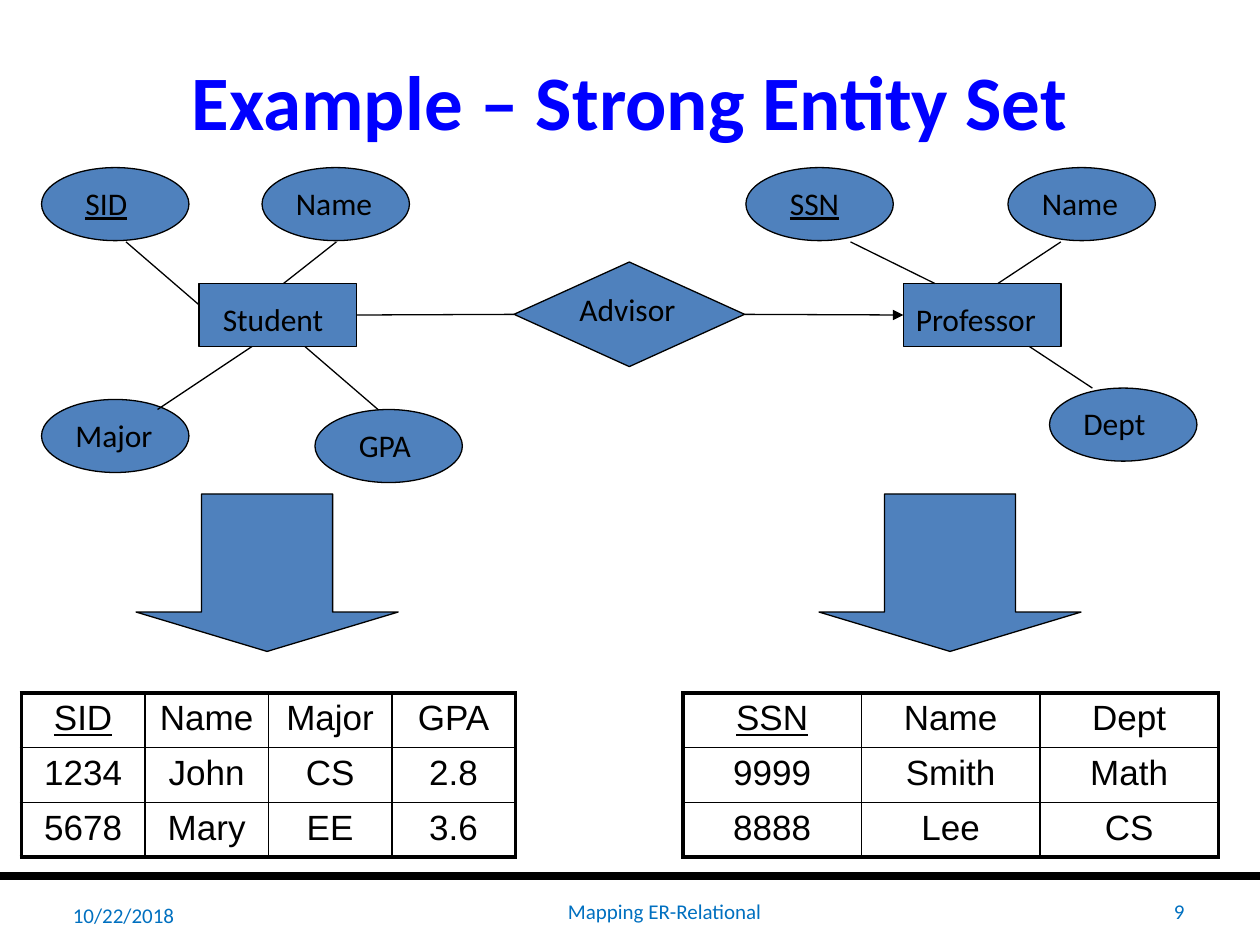
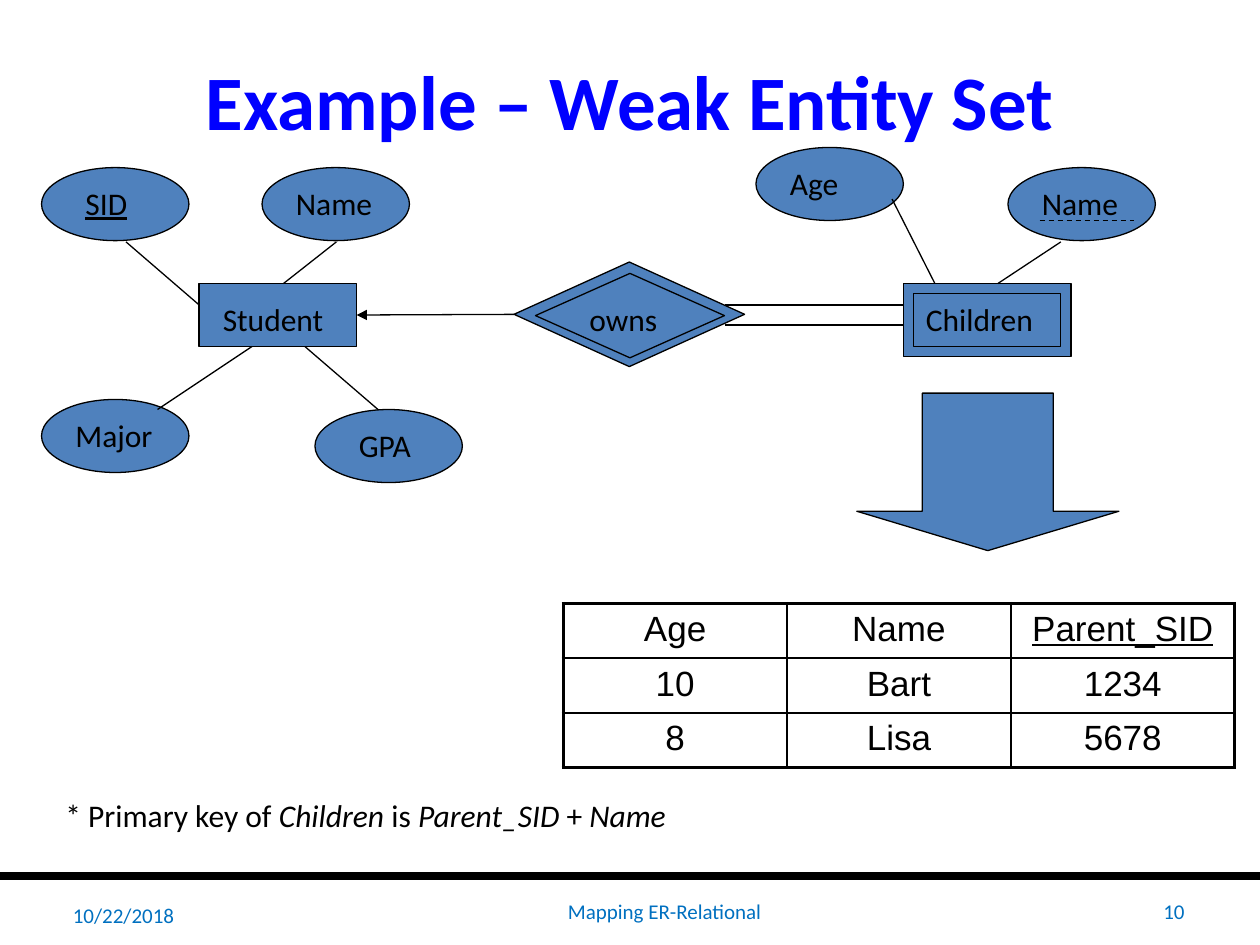
from lxml.etree import SubElement
from pptx import Presentation
from pptx.dml.color import RGBColor
from pptx.enum.dml import MSO_LINE_DASH_STYLE as DASH
from pptx.enum.shapes import MSO_CONNECTOR, MSO_SHAPE as SHAPE
from pptx.enum.text import MSO_ANCHOR as ANCHOR, PP_ALIGN as ALIGN
from pptx.oxml import parse_xml
from pptx.oxml.ns import nsdecls, qn
from pptx.util import Inches, Pt

COLORS = {"title": "0000FF", "fill": "4F81BD", "ink": "000000",
          "paper": "FFFFFF", "footer": "0070C0"}
OVAL_W, OVAL_H = 1.17, 0.58
LABEL_H = 0.4
ARROW_W, ARROW_H = 2.08, 1.25
THIN, THICK = 1, 2.25

# Attributes: text, left, top, label indent, underlined as key
STUDENT_OVALS = [("SID", 0.33, 1.33, 0.25, True), ("Name", 2.08, 1.33, 0.17, False),
                 ("Major", 0.33, 3.17, 0.17, False), ("GPA", 2.5, 3.25, 0.25, False)]
# Boxes and diamonds: name, shape, (left, top, width, height), label, (dx, dy)
STUDENT = ("student", SHAPE.RECTANGLE, (1.58, 2.25, 1.25, 0.5), "Student", (0.09, 0.08))
RELATION = (4.08, 2.08, 1.83, 0.83)
# Plain links: x1, y1, x2, y2
STUDENT_LINKS = [(1, 1.92, 1.58, 2.42), (2.67, 1.92, 2.25, 2.25),
                 (3, 3.25, 2.42, 2.75), (1.25, 3.25, 2, 2.75)]
NAME_OVAL = ("Name", 8, 1.33, 0.17, False)
NAME_LINK = (8.42, 1.92, 7.92, 2.25)

SLIDES = [
    {
        "title": "Example – Strong Entity Set",
        "number": "9",
        "ovals": STUDENT_OVALS + [("SSN", 5.92, 1.33, 0.25, True), NAME_OVAL,
                                  ("Dept", 8.33, 3.08, 0.17, False)],
        "nodes": [STUDENT,
                  ("relation", SHAPE.FLOWCHART_DECISION, RELATION, "Advisor", (0.42, 0.17)),
                  ("professor", SHAPE.RECTANGLE, (7.17, 2.25, 1.25, 0.5),
                   "Professor", (0, 0.08))],
        "links": STUDENT_LINKS + [(6.75, 1.92, 7.42, 2.25), NAME_LINK,
                                  (8.67, 3.08, 8.17, 2.75)],
        # Joined links: from node, side, to node, side, arrowhead
        "joins": [("student", 3, "relation", 1, False),
                  ("relation", 3, "professor", 1, True)],
        "arrows": [(1.08, 3.92), (6.5, 3.92)],
        # Tables: left, top, width, row height, key column, rows
        "tables": [
            (0.17, 5.5, 3.92, 0.41, 0, [("SID", "Name", "Major", "GPA"),
                                        ("1234", "John", "CS", "2.8"),
                                        ("5678", "Mary", "EE", "3.6")]),
            (5.42, 5.5, 4.25, 0.43, 0, [("SSN", "Name", "Dept"),
                                        ("9999", "Smith", "Math"),
                                        ("8888", "Lee", "CS")]),
        ],
    },
    {
        "title": "Example – Weak Entity Set",
        "number": "10",
        "ovals": STUDENT_OVALS + [NAME_OVAL, ("Age", 6, 1.17, 0.17, False)],
        "nodes": [STUDENT,
                  ("relation", SHAPE.FLOWCHART_DECISION, RELATION, "", None),
                  ("inner relation", SHAPE.FLOWCHART_DECISION, (4.25, 2.17, 1.5, 0.67),
                   "owns", (0.33, 0.16)),
                  ("children", SHAPE.RECTANGLE, (7.17, 2.25, 1.33, 0.58), "", None),
                  ("inner children", SHAPE.RECTANGLE, (7.25, 2.33, 1.17, 0.42),
                   "Children", (0, 0))],
        "links": STUDENT_LINKS + [NAME_LINK, (7.08, 1.58, 7.42, 2.25),
                                  (5.75, 2.42, 7.17, 2.42), (5.75, 2.58, 7.17, 2.58)],
        "joins": [("relation", 1, "student", 3, True)],
        "dashes": [(8.25, 1.75, 9, 1.75)],
        "arrows": [(6.8, 3.12)],
        "tables": [
            (4.47, 4.79, 5.33, 0.41, 2, [("Age", "Name", "Parent_SID"),
                                         ("10", "Bart", "1234"),
                                         ("8", "Lisa", "5678")]),
        ],
        # Runs: text, italic
        "note": [("* Primary key of ", False), ("Children", True), (" is ", False),
                 ("Parent_SID", True), (" + ", False), ("Name", True)],
    },
]


def rgb(name):
    return RGBColor.from_string(COLORS[name])


def write(tf, runs, size=18, font="Calibri", color="ink", align=ALIGN.LEFT,
          bold=False, underline=False, anchor=ANCHOR.TOP):
    """Fill a text frame with one paragraph; runs is a string or (text, italic) pairs."""
    tf.word_wrap = True
    tf.vertical_anchor = anchor
    p = tf.paragraphs[0]
    p.alignment = align
    for text, italic in [(runs, False)] if isinstance(runs, str) else runs:
        r = p.add_run()
        r.text = text
        r.font.size, r.font.name = Pt(size), font
        r.font.bold, r.font.italic, r.font.underline = bold, italic, underline
        r.font.color.rgb = rgb(color)


def add_text(slide, box, runs, **fmt):
    write(slide.shapes.add_textbox(*map(Inches, box)).text_frame, runs, **fmt)


def add_shape(slide, kind, box):
    sp = slide.shapes.add_shape(kind, *map(Inches, box))
    sp.shadow.inherit = False
    sp.fill.solid()
    sp.fill.fore_color.rgb = rgb("fill")
    sp.line.color.rgb = rgb("ink")
    sp.line.width = Pt(0.75)
    return sp


def add_line(slide, ends=(0, 0, 0, 0), width=0.75, dash=None, arrow=False):
    line = slide.shapes.add_connector(MSO_CONNECTOR.STRAIGHT, *map(Inches, ends))
    line.line.color.rgb = rgb("ink")
    line.line.width = Pt(width)
    if dash:
        line.line.dash_style = dash
    props = line._element.spPr
    if arrow:
        SubElement(props.find(qn("a:ln")), qn("a:tailEnd"), type="triangle")
    SubElement(props, qn("a:effectLst"))
    return line


def set_borders(cell, widths):
    """Put left, right, top and bottom borders ahead of the cell's fill."""
    props = cell._tc.get_or_add_tcPr()
    for i, (side, width) in enumerate(zip("LRTB", widths)):
        props.insert(i, parse_xml(
            f'<a:ln{side} {nsdecls("a")} w="{Pt(width)}"><a:solidFill>'
            f'<a:srgbClr val="{COLORS["ink"]}"/></a:solidFill></a:ln{side}>'))


def add_relation_table(slide, left, top, width, row_h, key_col, rows):
    n_rows, n_cols = len(rows), len(rows[0])
    table = slide.shapes.add_table(n_rows, n_cols, *map(
        Inches, (left, top, width, row_h * n_rows))).table
    table.first_row = table.horz_banding = False
    for i, row in enumerate(rows):
        for j, text in enumerate(row):
            cell = table.cell(i, j)
            cell.fill.solid()
            cell.fill.fore_color.rgb = rgb("paper")
            write(cell.text_frame, text, size=20, font="Arial", align=ALIGN.CENTER,
                  underline=(i == 0 and j == key_col))
            outer = (j == 0, j == n_cols - 1, i == 0, i == n_rows - 1)
            set_borders(cell, [THICK if edge else THIN for edge in outer])


def add_footer(slide, number):
    for box, text, align in [((0.39, 7.03, 1.09, 0.47), "10/22/2018", ALIGN.RIGHT),
                             ((1.64, 7.03, 7.27, 0.4), "Mapping ER-Relational", ALIGN.CENTER),
                             ((9.06, 7.03, 0.44, 0.4), number, ALIGN.RIGHT)]:
        add_text(slide, box, text, size=12, color="footer", align=align, anchor=ANCHOR.MIDDLE)


def add_diagram(slide, data):
    # Attributes
    for text, x, y, indent, key in data["ovals"]:
        add_shape(slide, SHAPE.OVAL, (x, y, OVAL_W, OVAL_H))
        add_text(slide, (x + indent, y + 0.08, 0.92, LABEL_H), text, underline=key)

    # Entities and relationships
    nodes = {}
    for name, kind, box, label, offset in data["nodes"]:
        nodes[name] = add_shape(slide, kind, box)
        if label:
            dx, dy = offset
            add_text(slide, (box[0] + dx, box[1] + dy, 1.33, LABEL_H), label)

    # Links
    for ends in data["links"]:
        add_line(slide, ends)
    for ends in data.get("dashes", []):
        add_line(slide, ends, dash=DASH.DASH)
    for start, start_side, end, end_side, arrow in data["joins"]:
        line = add_line(slide, arrow=arrow)
        line.begin_connect(nodes[start], start_side)
        line.end_connect(nodes[end], end_side)

    # Arrows down to the tables
    for x, y in data["arrows"]:
        sp = add_shape(slide, SHAPE.DOWN_ARROW, (x, y, ARROW_W, ARROW_H))
        sp.adjustments[0], sp.adjustments[1] = 0.5, 0.25


def add_slide(prs, layout, data):
    slide = prs.slides.add_slide(layout)
    title = slide.shapes.title
    title.left, title.top, title.width, title.height = map(Inches, (0.5, 0.17, 9, 1.25))
    write(title.text_frame, data["title"], size=44, color="title", bold=True,
          align=ALIGN.CENTER, anchor=ANCHOR.MIDDLE)
    add_line(slide, (0, 6.95, 10, 6.95), width=4.5)
    add_diagram(slide, data)
    for table in data["tables"]:
        add_relation_table(slide, *table)
    if "note" in data:
        add_text(slide, (0.42, 6.27, 9.08, LABEL_H), data["note"])
    add_footer(slide, data["number"])


def main():
    prs = Presentation()
    prs.slide_width, prs.slide_height = Inches(10), Inches(7.5)
    title_only = prs.slide_layouts[5]
    for data in SLIDES:
        add_slide(prs, title_only, data)
    prs.save("out.pptx")


if __name__ == "__main__":
    main()
